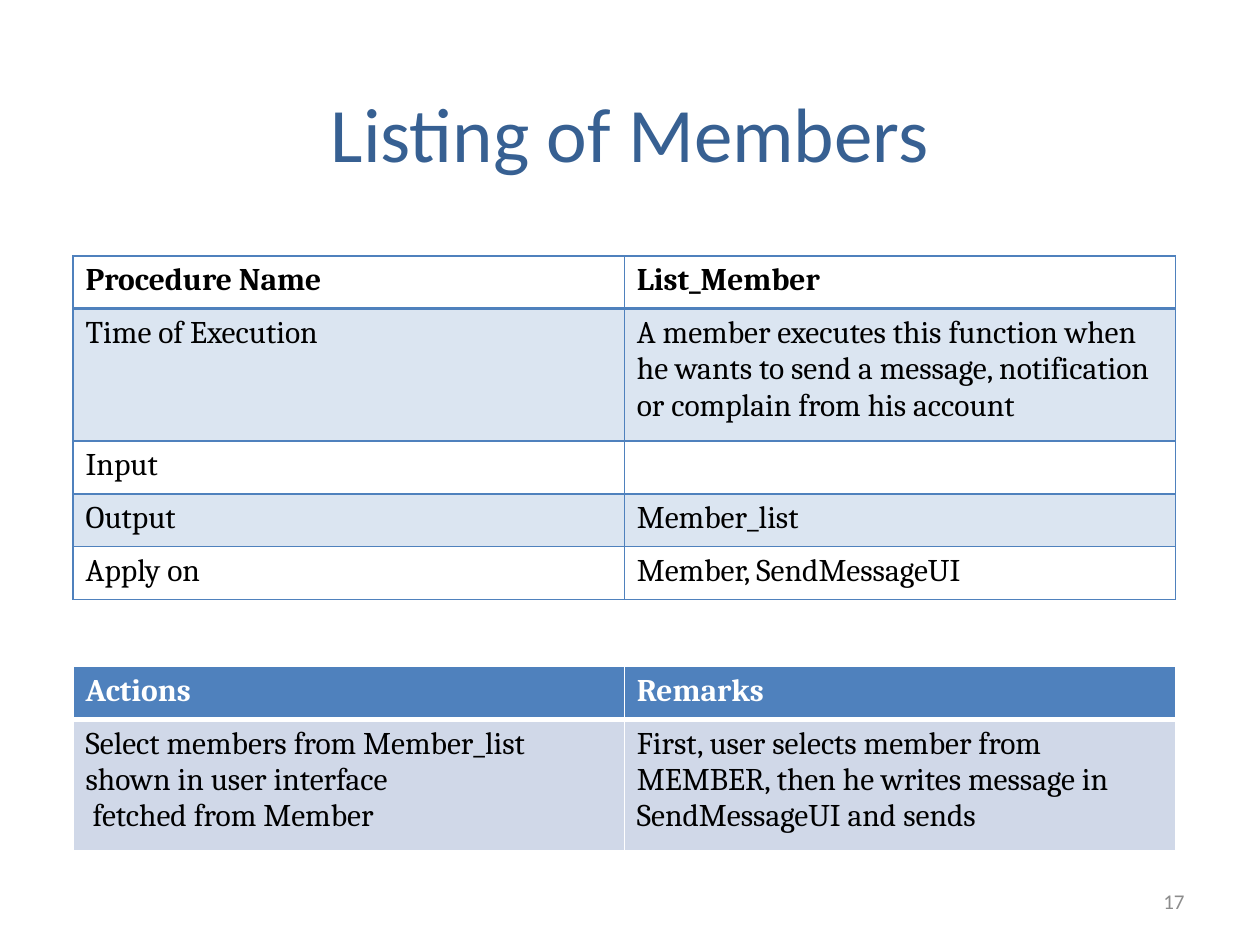
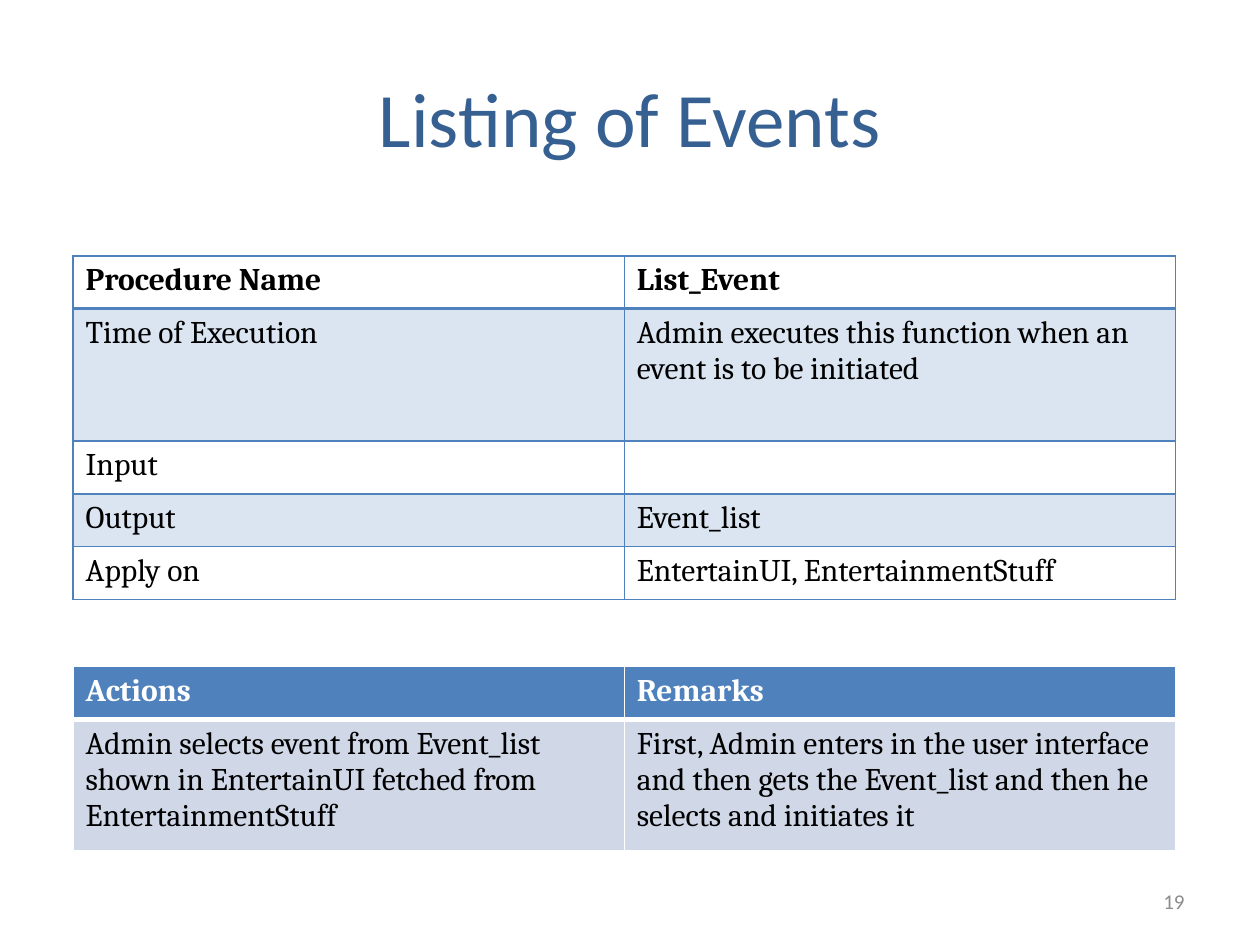
import pptx
import pptx.util
import pptx.dml.color
import pptx.enum.text
import pptx.oxml.ns
import lxml.etree

Inches = pptx.util.Inches
Pt = pptx.util.Pt
RGBColor = pptx.dml.color.RGBColor
Align = pptx.enum.text.PP_ALIGN
Anchor = pptx.enum.text.MSO_ANCHOR
qn = pptx.oxml.ns.qn

BLUE = RGBColor(0x4F, 0x81, 0xBD)
TITLE_BLUE = RGBColor(0x37, 0x60, 0x92)
PALE_BLUE = RGBColor(0xD0, 0xD8, 0xE8)
GRAY = RGBColor(0x8C, 0x8C, 0x8C)
BLACK = RGBColor(0, 0, 0)
WHITE = RGBColor(0xFF, 0xFF, 0xFF)

TABLE_LEFT, TABLE_WIDTH = 0.58, 8.75


class Deck:
    """Holds the shared style and the current slide."""

    heading_font = "Calibri"
    table_font = "Cambria"

    def __init__(self):
        """Start an empty 10 by 7.5 inch presentation."""
        self.presentation = pptx.Presentation()
        self.presentation.slide_width = Inches(10)
        self.presentation.slide_height = Inches(7.5)
        self.slide = None

    def add_run(self, paragraph, text, font_name, size, color, bold=False):
        """Add one formatted run to a paragraph."""
        run = paragraph.add_run()
        run.text = text
        run.font.name = font_name
        run.font.size = Pt(size)
        run.font.color.rgb = color
        run.font.bold = bold

    def new_slide(self, title, title_top, number):
        """Add a slide with its title and page number."""
        layout = self.presentation.slide_layouts.get_by_name("Title Only")
        self.slide = self.presentation.slides.add_slide(layout)
        shape = self.slide.shapes.title
        shape.left, shape.top = Inches(0.5), Inches(title_top)
        shape.width, shape.height = Inches(9), Inches(1.25)
        self.fill_heading(shape, title, 44, TITLE_BLUE, Align.CENTER)
        number_box = self.slide.shapes.add_textbox(
            Inches(7.17), Inches(6.95), Inches(2.33), Inches(0.4))
        self.fill_heading(number_box, number, 12, GRAY, Align.RIGHT)

    def fill_heading(self, shape, text, size, color, alignment):
        """Write one line, centred vertically, in the heading font."""
        frame = shape.text_frame
        frame.word_wrap = True
        frame.vertical_anchor = Anchor.MIDDLE
        paragraph = frame.paragraphs[0]
        paragraph.alignment = alignment
        self.add_run(paragraph, text, self.heading_font, size, color)

    def set_borders(self, cell, color, top=1, bottom=1):
        """Draw the four cell borders, with widths in points."""
        properties = cell._tc.get_or_add_tcPr()
        widths = {"lnL": 1, "lnR": 1, "lnT": top, "lnB": bottom}
        for index, (tag, width) in enumerate(widths.items()):
            line = lxml.etree.Element(qn("a:" + tag), w=str(Pt(width)))
            fill = lxml.etree.SubElement(line, qn("a:solidFill"))
            lxml.etree.SubElement(fill, qn("a:srgbClr"), val=str(color))
            properties.insert(index, line)

    def set_fill(self, cell, color, opacity=100):
        """Fill a cell, or leave it clear when the colour is None."""
        if color is None:
            cell.fill.background()
            return
        cell.fill.solid()
        cell.fill.fore_color.rgb = color
        if opacity < 100:
            color_element = cell._tc.tcPr.find(".//" + qn("a:srgbClr"))
            lxml.etree.SubElement(
                color_element, qn("a:alpha"), val=str(opacity * 1000))

    def add_table(self, top, heights, rows, fills, border, header_color, header_line):
        """Add a two-column table; fills gives (colour, opacity) per row."""
        frame = self.slide.shapes.add_table(
            len(rows), 2, Inches(TABLE_LEFT), Inches(top),
            Inches(TABLE_WIDTH), Inches(sum(heights)))
        table = frame.table
        table.first_row = table.horz_banding = False
        for row_index, texts in enumerate(rows):
            table.rows[row_index].height = Inches(heights[row_index])
            header = row_index == 0
            color = header_color if header else BLACK
            for column_index, text in enumerate(texts):
                cell = table.cell(row_index, column_index)
                self.set_fill(cell, *fills[row_index])
                self.set_borders(cell, border,
                                 top=header_line if row_index == 1 else 1,
                                 bottom=header_line if header else 1)
                self.fill_cell(cell, text, color, header)

    def fill_cell(self, cell, text, color, bold):
        """Write each line of the text as a paragraph of the cell."""
        frame = cell.text_frame
        for index, line in enumerate(text.splitlines()):
            paragraph = frame.add_paragraph() if index else frame.paragraphs[0]
            self.add_run(paragraph, line, self.table_font, 18, color, bold)

    def add_procedure_table(self, name, execution, output, applies_to):
        """Add the outlined table that describes a procedure."""
        rows = [("Procedure Name", name), ("Time of Execution", execution),
                ("Input", ""), ("Output", output), ("Apply on", applies_to)]
        clear, tint = (None,), (BLUE, 20)
        self.add_table(2.03, [0.42, 1.05, 0.42, 0.42, 0.42], rows,
                       [clear, tint, clear, tint, clear], BLUE, BLACK, 2)

    def add_action_table(self, action, remark):
        """Add the table of actions and remarks."""
        rows = [("Actions", "Remarks"), (action, remark)]
        self.add_table(5.29, [0.42, 1.04], rows,
                       [(BLUE,), (PALE_BLUE,)], WHITE, WHITE, 3)


deck = Deck()

deck.new_slide("Listing of Members", 0.42, "17")
deck.add_procedure_table(
    "List_Member",
    "A member executes this function when he wants to send a message, "
    "notification or complain from his account",
    "Member_list", "Member, SendMessageUI")
deck.add_action_table(
    "Select members from Member_list shown in user interface\n"
    " fetched from Member",
    "First, user selects member from MEMBER, then he writes message in "
    "SendMessageUI and sends")

deck.new_slide("Listing of Events", 0.3, "19")
deck.add_procedure_table(
    "List_Event",
    "Admin executes this function when an event is to be initiated",
    "Event_list", "EntertainUI, EntertainmentStuff")
deck.add_action_table(
    "Admin selects event from Event_list shown in EntertainUI fetched from "
    "EntertainmentStuff",
    "First, Admin enters in the user interface and then gets the Event_list "
    "and then he selects and initiates it")

deck.presentation.save("out.pptx")
